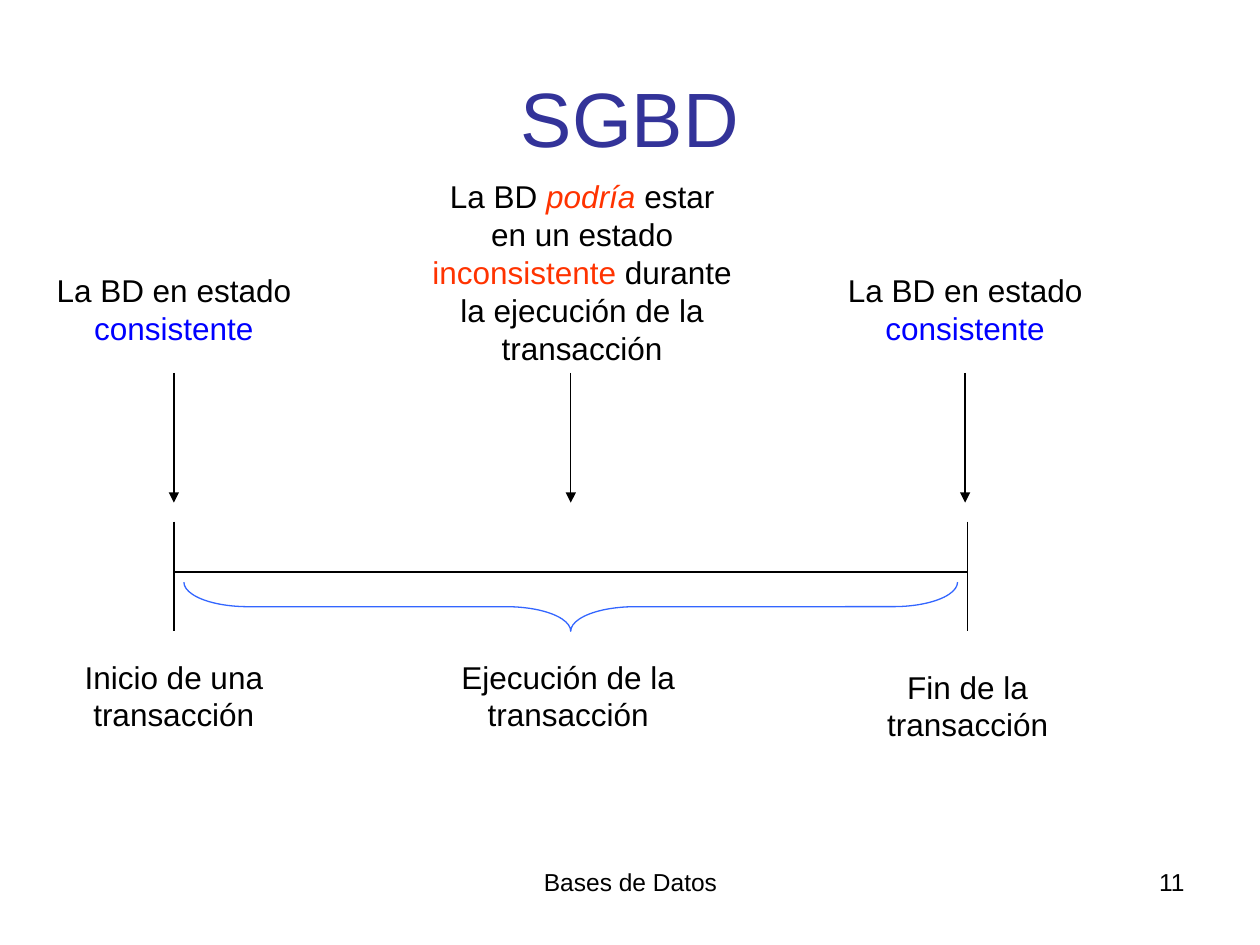
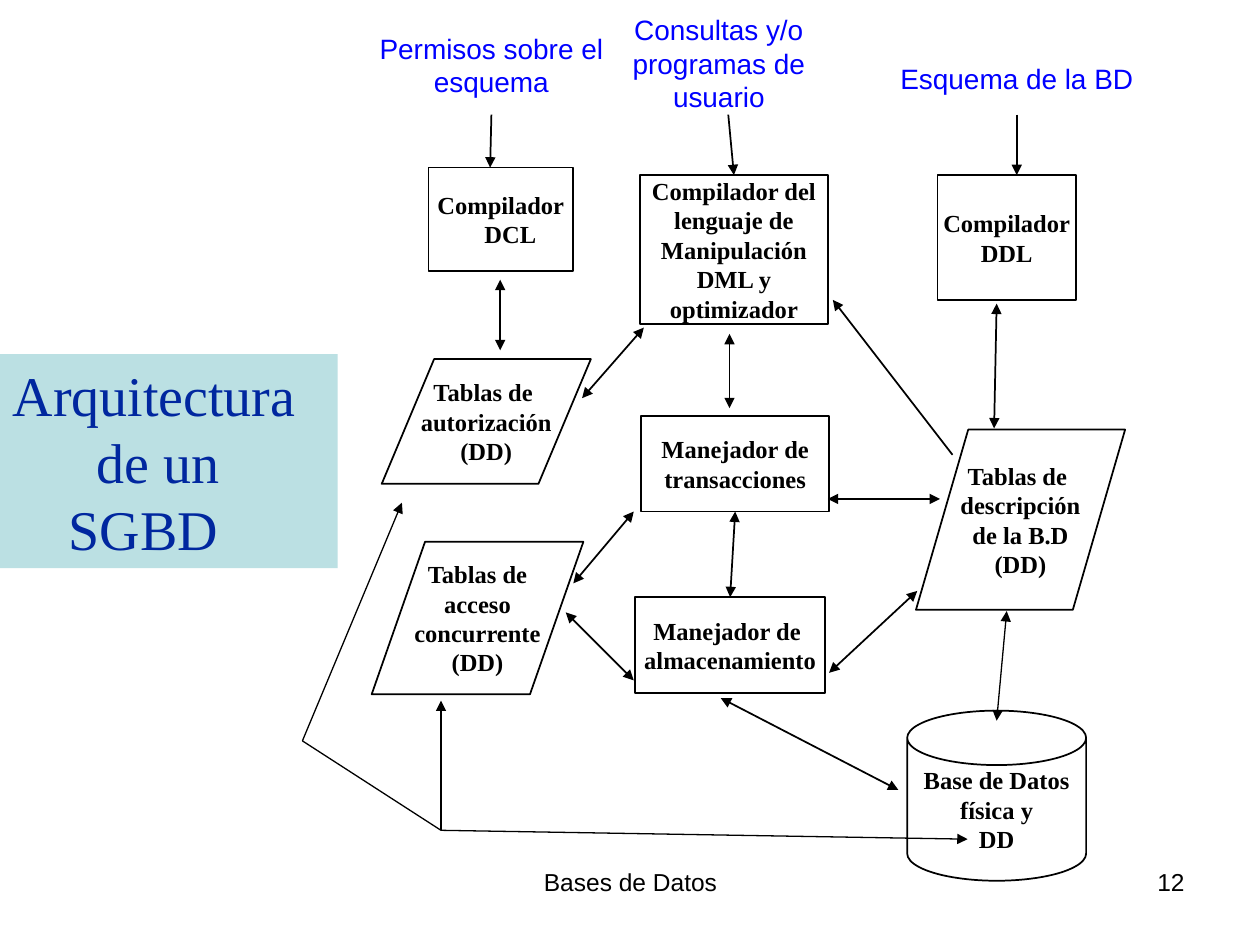
from dataclasses import dataclass

from lxml import etree
from pptx import Presentation
from pptx import util as u
from pptx.dml.color import RGBColor
from pptx.enum import shapes, text
from pptx.oxml.ns import qn

BLACK = RGBColor(0x00, 0x00, 0x00)
BLUE = RGBColor(0x00, 0x00, 0xFF)
BRACE_BLUE = RGBColor(0x33, 0x66, 0xFF)
RED = RGBColor(0xFF, 0x33, 0x00)
TITLE_INDIGO = RGBColor(0x33, 0x33, 0x99)
PANEL_NAVY = RGBColor(0x00, 0x27, 0x9F)
PANEL_TEAL = RGBColor(0xBB, 0xE0, 0xE3)

SANS, SERIF = "Arial", "Times New Roman"
CENTER, LEFT, RIGHT = text.PP_ALIGN.CENTER, text.PP_ALIGN.LEFT, text.PP_ALIGN.RIGHT
RECTANGLE = shapes.MSO_SHAPE.RECTANGLE
PARALLELOGRAM = shapes.MSO_SHAPE.PARALLELOGRAM
CAN = shapes.MSO_SHAPE.CAN
TOP, BOTTOM = 0, 2

# The slide is a grid of 100 columns by 75 rows of square cells.
COLUMNS, ROWS = 100, 75
CELL = u.Inches(0.1)


@dataclass
class Box:
    left: float
    top: float
    width: float
    height: float

    def inner(self, x, y, width, height):
        return Box(self.left + x, self.top + y, width, height)

    def point(self, x, y):
        return cells(self.left + x), cells(self.top + y)

    def lengths(self):
        return [cells(n) for n in (self.left, self.top, self.width, self.height)]


def cells(count):
    return u.Emu(round(count * CELL))


def add_paragraph(frame, runs, size, font, color=BLACK, bold=False, align=CENTER, indent=0):
    """Write one paragraph; each run is a string or (string, colour, italic)."""
    paragraph = frame.paragraphs[0]
    if paragraph.runs:
        paragraph = frame.add_paragraph()
    paragraph.alignment = align
    if indent:
        properties = paragraph._p.get_or_add_pPr()
        properties.set("marL", str(cells(indent)))
        properties.set("indent", "0")
    for item in runs:
        words, run_color, italic = (item, color, False) if isinstance(item, str) else item
        run = paragraph.add_run()
        run.text = words
        run.font.name = font
        run.font.size = u.Pt(size)
        run.font.bold = bold
        run.font.italic = italic
        run.font.color.rgb = run_color


def add_label(slide, box, runs, size, color=BLACK, align=CENTER):
    frame = slide.shapes.add_textbox(*box.lengths()).text_frame
    frame.word_wrap = True
    add_paragraph(frame, runs, size, SANS, color, align=align)


def add_outline(slide, kind, box, color, weight):
    shape = slide.shapes.add_shape(kind, *box.lengths())
    shape.shadow.inherit = False
    shape.fill.background()
    shape.line.color.rgb = color
    shape.line.width = u.Pt(weight)
    return shape


def add_line(slide, box, start, end, heads="", weight=0.75):
    """Draw a line between two points of the box; heads is "", "end" or "both"."""
    connector = slide.shapes.add_connector(
        shapes.MSO_CONNECTOR.STRAIGHT, *box.point(*start), *box.point(*end))
    connector.line.color.rgb = BLACK
    connector.line.width = u.Pt(weight)
    properties = connector.element.spPr
    outline = properties.find(qn("a:ln"))
    if heads == "both":
        etree.SubElement(outline, qn("a:headEnd"), type="triangle")
    if heads:
        etree.SubElement(outline, qn("a:tailEnd"), type="triangle")
    etree.SubElement(properties, qn("a:effectLst"))
    return connector


def place_title(slide, box, anchor):
    title = slide.shapes.title
    title.left, title.top, title.width, title.height = box.lengths()
    frame = title.text_frame
    frame.auto_size = text.MSO_AUTO_SIZE.NONE
    frame.word_wrap = True
    frame.vertical_anchor = anchor
    return title


def add_footer(slide, number):
    add_label(slide, Box(34.2, 68.3, 31.7, 5.2), ["Bases de Datos"], 14)
    add_label(slide, Box(71.7, 68.3, 23.3, 5.2), [str(number)], 14, align=RIGHT)


def draw_timeline(slide, box):
    """States of the database above a time axis, phases of a transaction below."""
    start, middle, end = 0, box.width / 2, box.width
    consistent = ["La BD en estado ", ("consistente", BLUE, False)]
    uncertain = ["La BD ", ("podría ", RED, True), "estar en un estado ",
                 ("inconsistente", RED, False), " durante la ejecución de la transacción"]
    states = [(start, 7.4, 21.3, 7, consistent),
              (middle + 0.9, 0, 26.4, 16, uncertain),
              (end - 0.2, 7.4, 21.3, 7, consistent)]
    phases = [(start, 38.1, 21.3, 7, ["Inicio de una transacción"]),
              (middle - 0.2, 38.1, 21.3, 7, ["Ejecución de la transacción"]),
              (end, 38.9, 21.3, 7, ["Fin de la transacción"])]
    for center, top, width, height, runs in states + phases:
        add_label(slide, box.inner(center - width / 2, top, width, height), runs, 18)

    for moment in (start, middle, end - 0.2):
        add_line(slide, box, (moment, 16), (moment, 26.3), "end")
    for moment in (start, end):
        add_line(slide, box, (moment, 27.8), (moment, 36.5))
    add_line(slide, box, (start, 31.8), (end, 31.8))

    # The brace is upright before it is turned to point down.
    span, depth, center_y = 61.4, 3.9, 34.55
    upright = box.inner(middle - depth / 2, center_y - span / 2, depth, span)
    brace = add_outline(slide, shapes.MSO_SHAPE.LEFT_BRACE, upright, BRACE_BLUE, 0.75)
    brace.adjustments[0] = 1.31
    brace.rotation = 270


def draw_title_panel(slide, box):
    panel = place_title(slide, box, text.MSO_ANCHOR.TOP)
    panel.fill.solid()
    panel.fill.fore_color.rgb = PANEL_TEAL
    for words, indent in (("Arquitectura", 0), ("de un", 6.67), ("SGBD", 4.44)):
        add_paragraph(panel.text_frame, [words], 32, SERIF, PANEL_NAVY,
                      align=LEFT, indent=indent)


def draw_inputs(slide, box):
    inputs = [((4, 2, 22, 6.4), "Permisos sobre el esquema"),
              ((22.8, 0.5, 20.5, 9), "Consultas y/o programas de usuario"),
              ((45.7, 4.4, 22, 3.7), "Esquema de la BD")]
    for place, words in inputs:
        add_label(slide, box.inner(*place), [words], 16, BLUE)


def add_component(slide, box, kind, lines, slant=None, wrap=False):
    shape = add_outline(slide, kind, box, BLACK, 1)
    if slant is not None:
        shape.adjustments[0] = slant
    frame = shape.text_frame
    frame.word_wrap = wrap
    frame.vertical_anchor = text.MSO_ANCHOR.MIDDLE
    frame.margin_left = frame.margin_right = frame.margin_top = frame.margin_bottom = 0
    for words in lines:
        add_paragraph(frame, [words], 14, SERIF, bold=True,
                      indent=1.5 if words == "DCL" else 0)
    return shape


def draw_components(slide, box):
    """Draw the compilers, managers, tables and store; return those that get joined."""
    def component(place, *details, **options):
        return add_component(slide, box.inner(*place), *details, **options)

    component((10, 13.3, 11.5, 8.2), RECTANGLE, ["Compilador", "DCL"])
    dml = component((26.8, 13.9, 14.9, 11.8), RECTANGLE,
                    ["Compilador del lenguaje de", "Manipulación DML y optimizador"],
                    wrap=True)
    component((50.4, 13.9, 11, 9.9), RECTANGLE, ["Compilador", "DDL"])
    transactions = component((26.9, 33, 14.9, 7.6), RECTANGLE,
                             ["Manejador de", "transacciones"])
    storage = component((26.4, 47.4, 15.1, 7.6), RECTANGLE,
                        ["Manejador de ", "almacenamiento"])
    component((6.3, 28.5, 16.6, 9.9), PARALLELOGRAM,
              ["Tablas de ", "autorización", "(DD)"], slant=0.42)
    component((5.5, 43, 16.8, 12.1), PARALLELOGRAM,
              ["Tablas de", "acceso", "concurrente", "(DD)"], slant=0.35)
    component((48.7, 34.1, 16.6, 14.3), PARALLELOGRAM,
              ["Tablas de ", "descripción", "de la B.D", "(DD)"], slant=0.29)
    component((48, 56.4, 14.2, 13.5), CAN,
              ["Base de Datos física y", "DD"], slant=0.32, wrap=True)
    return dml, transactions, storage


def draw_links(slide, box, dml, transactions, storage):
    two_way = [((33.9, 26.5), (33.9, 32.4)),   # DML, transactions
               ((33.2, 55.4), (47.3, 62.7)),   # storage, database
               ((21.5, 46.3), (26.3, 40.6)),   # access, transactions
               ((20.9, 48.6), (26.3, 54)),     # access, storage
               ((50.6, 39.6), (41.7, 39.6)),   # description, transactions
               ((55.1, 24.1), (54.9, 34)),     # DDL, description
               ((22.2, 31.6), (27.1, 26)),     # authorisation, DML
               ((41.8, 53.4), (48.8, 46.9)),   # storage, description
               ((15.7, 22.2), (15.7, 27.8))]   # DCL, authorisation
    one_way = [((51.6, 36.1), (42.1, 23.8)),   # description, DML
               ((56.7, 9.1), (56.7, 13.9)),    # schema, DDL
               ((15, 9.1), (14.9, 13.3))]      # permissions, DCL
    for heads, links in (("both", two_way), ("end", one_way)):
        for start, end in links:
            add_line(slide, box, start, end, heads, 1)

    queries = add_line(slide, box, (33.8, 9.1), (34.2, 13.9), "end", 1)
    queries.end_connect(dml, TOP)
    managers = add_line(slide, box, (34.3, 40.6), (34, 47.4), "both", 1)
    managers.begin_connect(transactions, BOTTOM)
    managers.end_connect(storage, TOP)

    junction, bend = (11, 65.9), (0, 58.8)
    add_line(slide, box, junction, (11, 55.6), "end")
    add_line(slide, box, junction, (52.8, 66.6), "end")
    add_line(slide, box, bend, (7.9, 39.9), "end")
    add_line(slide, box, bend, junction)
    add_line(slide, box, (55.9, 48.5), (55.1, 57.2), "both")


def build_transaction_slide(slide):
    title = place_title(slide, Box(5, 3, 90, 12.5), text.MSO_ANCHOR.MIDDLE)
    add_paragraph(title.text_frame, ["SGBD"], 44, SANS, TITLE_INDIGO)
    draw_timeline(slide, Box(13.8, 13.6, 63, 46))


def build_architecture_slide(slide):
    draw_title_panel(slide, Box(0, 28.1, 26.8, 17))
    diagram = Box(24, 0, 68, 70)
    draw_inputs(slide, diagram)
    joined = draw_components(slide, diagram)
    draw_links(slide, diagram, *joined)


def main():
    presentation = Presentation()
    presentation.slide_width = cells(COLUMNS)
    presentation.slide_height = cells(ROWS)
    title_only = presentation.slide_layouts[5]
    builders = (build_transaction_slide, build_architecture_slide)
    for number, build in enumerate(builders, start=11):
        slide = presentation.slides.add_slide(title_only)
        build(slide)
        add_footer(slide, number)
    presentation.save("out.pptx")


if __name__ == "__main__":
    main()
